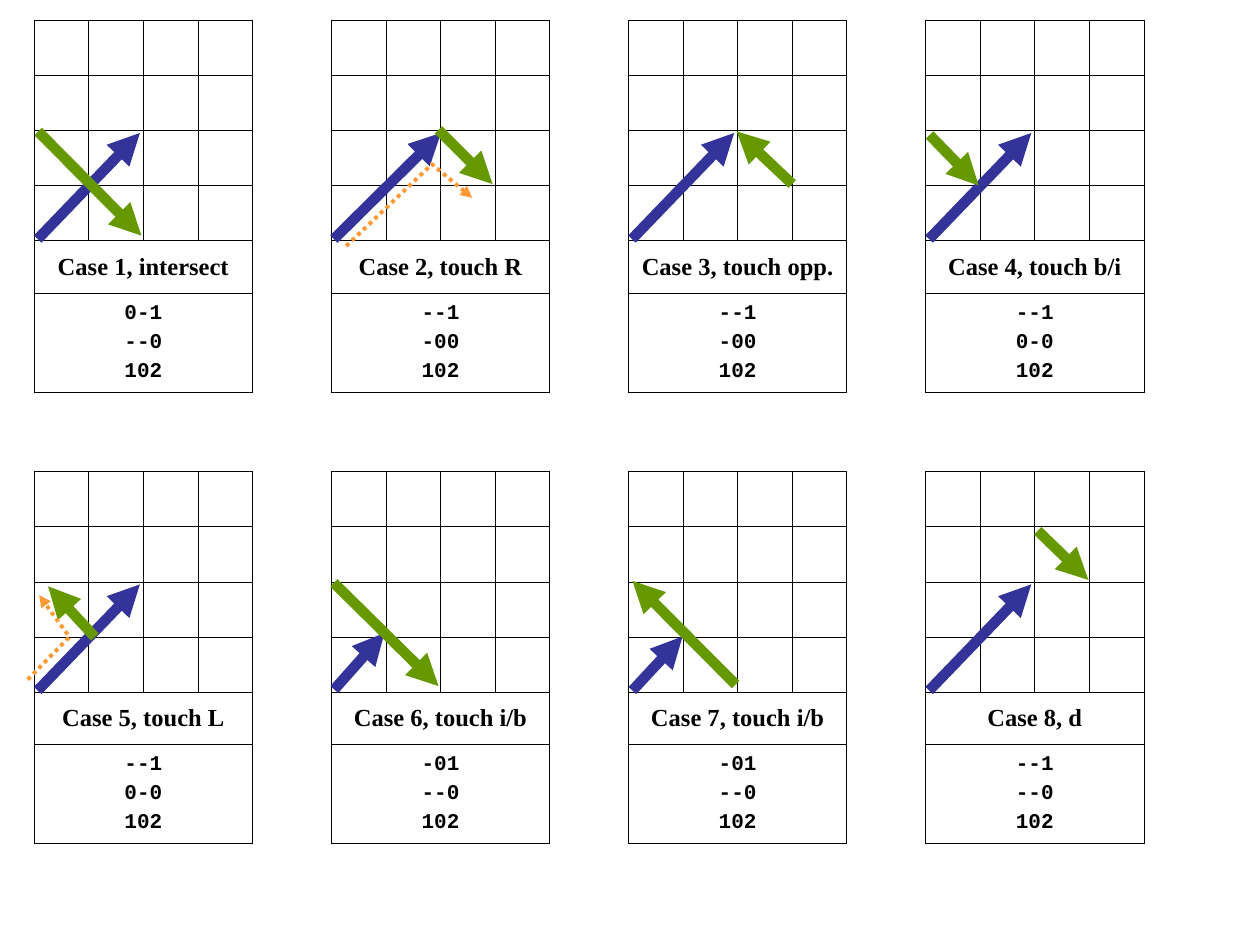
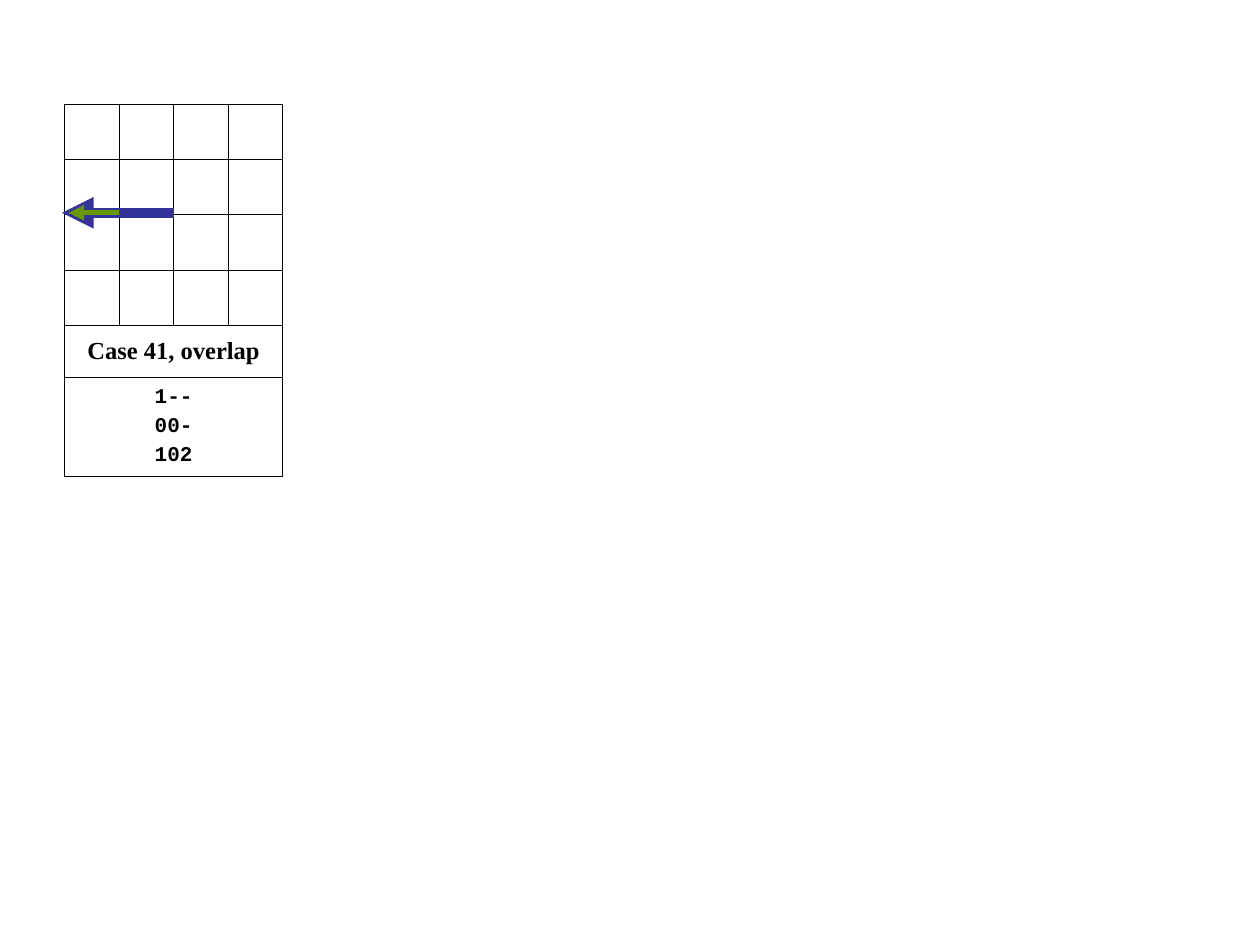
from lxml import etree
from pptx import Presentation
from pptx import util as u
from pptx.dml.color import RGBColor
from pptx.enum import dml, shapes, text
from pptx.oxml import ns

BLACK = RGBColor(0x00, 0x00, 0x00)
BLUE = RGBColor(0x33, 0x33, 0x99)
GREEN = RGBColor(0x66, 0x99, 0x00)
ORANGE = RGBColor(0xFF, 0x99, 0x33)

COLUMN_COUNT = 4
COLUMN_WIDTH = 1.1
ROW_HEIGHTS = [1.11] * 4 + [1.06, 2.0]
LABEL_ROW, CODE_ROW = 4, 5
CASE_LEFT, CASE_TOP = 0.69, 0.41
CASE_PITCH_X, CASE_PITCH_Y = 5.99, 9.1
OVERLAP_ORIGIN = (1.3, 2.11)

LONG_ARROW = [(0.07, 4.41), (2.13, 2.27)]

CASES = [
    dict(label="Case 1, intersect", codes=["0-1", "--0", "102"],
         first=LONG_ARROW, second=[(0.08, 2.24), (2.16, 4.34)]),
    dict(label="Case 2, touch R", codes=["--1", "-00", "102"],
         first=[(0.05, 4.41), (2.21, 2.27)], second=[(2.16, 2.21), (3.25, 3.3)],
         turn=[(0.3, 4.55), (2.03, 2.9), (2.84, 3.58)]),
    dict(label="Case 3, touch opp.", codes=["--1", "-00", "102"],
         first=LONG_ARROW, second=[(3.3, 3.3), (2.18, 2.24)]),
    dict(label="Case 4, touch b/i", codes=["--1", "0-0", "102"],
         first=LONG_ARROW, second=[(0.08, 2.31), (1.07, 3.33)]),
    dict(label="Case 5, touch L", codes=["--1", "0-0", "102"],
         first=LONG_ARROW, second=[(1.22, 3.33), (0.28, 2.31)],
         turn=[(-0.13, 4.19), (0.71, 3.33), (0.1, 2.49)]),
    dict(label="Case 6, touch i/b", codes=["-01", "--0", "102"],
         first=[(0.06, 4.39), (1.07, 3.25)], second=[(0.05, 2.24), (2.16, 4.32)]),
    dict(label="Case 7, touch i/b", codes=["-01", "--0", "102"],
         first=[(0.08, 4.41), (1.09, 3.32)], second=[(2.16, 4.29), (0.08, 2.2)]),
    dict(label="Case 8, d", codes=["--1", "--0", "102"],
         first=LONG_ARROW, second=[(2.26, 1.19), (3.28, 2.18)]),
]
OVERLAP_CASE = dict(label="Case 41, overlap", codes=["1--", "00-", "102"],
                    first=[(2.21, 2.18), (-0.05, 2.18)],
                    second=[(1.09, 2.18), (0.08, 2.18)], second_width=3)


def write_text(cell, content, font="Times New Roman", size=14, space_before=0):
    """Write centred bold lines into a cell."""
    cell.vertical_anchor = text.MSO_ANCHOR.MIDDLE
    cell.text_frame.text = content
    for index, paragraph in enumerate(cell.text_frame.paragraphs):
        paragraph.alignment = text.PP_ALIGN.CENTER
        paragraph.space_before = u.Pt(space_before if index else 0)
        paragraph.font.name = font
        paragraph.font.size = u.Pt(size)
        paragraph.font.bold = True
        paragraph.font.color.rgb = BLACK


def frame_cell(cell):
    """Clear the fill of a cell and rule its four sides."""
    cell.fill.background()
    properties = cell._tc.get_or_add_tcPr()
    for index, side in enumerate(("lnL", "lnR", "lnT", "lnB")):
        border = etree.Element(ns.qn("a:" + side), w=str(u.Pt(0.45)))
        fill = etree.SubElement(border, ns.qn("a:solidFill"))
        etree.SubElement(fill, ns.qn("a:srgbClr"), val=str(BLACK))
        properties.insert(index, border)


def style_arrow(shape, color, width, dash=None):
    """Give a line its colour, width and arrowhead, without a shadow."""
    shape.line.color.rgb = color
    shape.line.width = u.Pt(width)
    if dash is not None:
        shape.line.dash_style = dash
    properties = shape._element.spPr
    etree.SubElement(properties.find(ns.qn("a:ln")), ns.qn("a:tailEnd"), type="triangle")
    etree.SubElement(properties, ns.qn("a:effectLst"))


def add_arrow(slide, origin, points, color, width=6):
    """Draw a straight arrow between two points relative to the origin."""
    left, top = origin
    ends = [u.Cm(value) for x, y in points for value in (left + x, top + y)]
    arrow = slide.shapes.add_connector(shapes.MSO_CONNECTOR.STRAIGHT, *ends)
    style_arrow(arrow, color, width)


def add_turn(slide, origin, points):
    """Draw a dotted bent arrow through points relative to the origin."""
    left, top = origin
    start, *rest = [(u.Cm(left + x), u.Cm(top + y)) for x, y in points]
    builder = slide.shapes.build_freeform(*start)
    builder.add_line_segments(rest, close=False)
    turn = builder.convert_to_shape()
    turn.fill.background()
    style_arrow(turn, ORANGE, 2.25, dml.MSO_LINE.ROUND_DOT)


def add_grid(slide, origin, label, codes):
    """Add the table with the grid, the case label and its codes."""
    left, top = origin
    table = slide.shapes.add_table(
        len(ROW_HEIGHTS), COLUMN_COUNT, u.Cm(left), u.Cm(top),
        u.Cm(COLUMN_COUNT * COLUMN_WIDTH), u.Cm(sum(ROW_HEIGHTS))).table
    table.first_row = table.horz_banding = False
    for column in table.columns:
        column.width = u.Cm(COLUMN_WIDTH)
    for row, height in zip(table.rows, ROW_HEIGHTS):
        row.height = u.Cm(height)
    for cell in table.iter_cells():
        frame_cell(cell)
    for row in (LABEL_ROW, CODE_ROW):
        table.cell(row, 0).merge(table.cell(row, COLUMN_COUNT - 1))
    write_text(table.cell(LABEL_ROW, 0), label)
    write_text(table.cell(CODE_ROW, 0), "\n".join(codes),
               font="Courier New", size=12, space_before=3)


def add_case(slide, origin, label, codes, first, second, second_width=6, turn=None):
    """Add one case: its table, two segments and an optional turn."""
    add_grid(slide, origin, label, codes)
    add_arrow(slide, origin, first, BLUE)
    add_arrow(slide, origin, second, GREEN, second_width)
    if turn:
        add_turn(slide, origin, turn)


def add_blank_slide(presentation):
    """Add a slide with the blank layout."""
    return presentation.slides.add_slide(presentation.slide_layouts[6])


def build_cases_slide(presentation):
    """Lay out the eight cases in two rows of four."""
    slide = add_blank_slide(presentation)
    for index, case in enumerate(CASES):
        row, column = divmod(index, 4)
        origin = (CASE_LEFT + column * CASE_PITCH_X, CASE_TOP + row * CASE_PITCH_Y)
        add_case(slide, origin, **case)


def build_overlap_slide(presentation):
    """Show the single overlap case."""
    add_case(add_blank_slide(presentation), OVERLAP_ORIGIN, **OVERLAP_CASE)


def main():
    """Build and save the presentation."""
    presentation = Presentation()
    presentation.slide_width = u.Cm(25.4)
    presentation.slide_height = u.Cm(19.05)
    build_cases_slide(presentation)
    build_overlap_slide(presentation)
    presentation.save("out.pptx")


if __name__ == "__main__":
    main()
